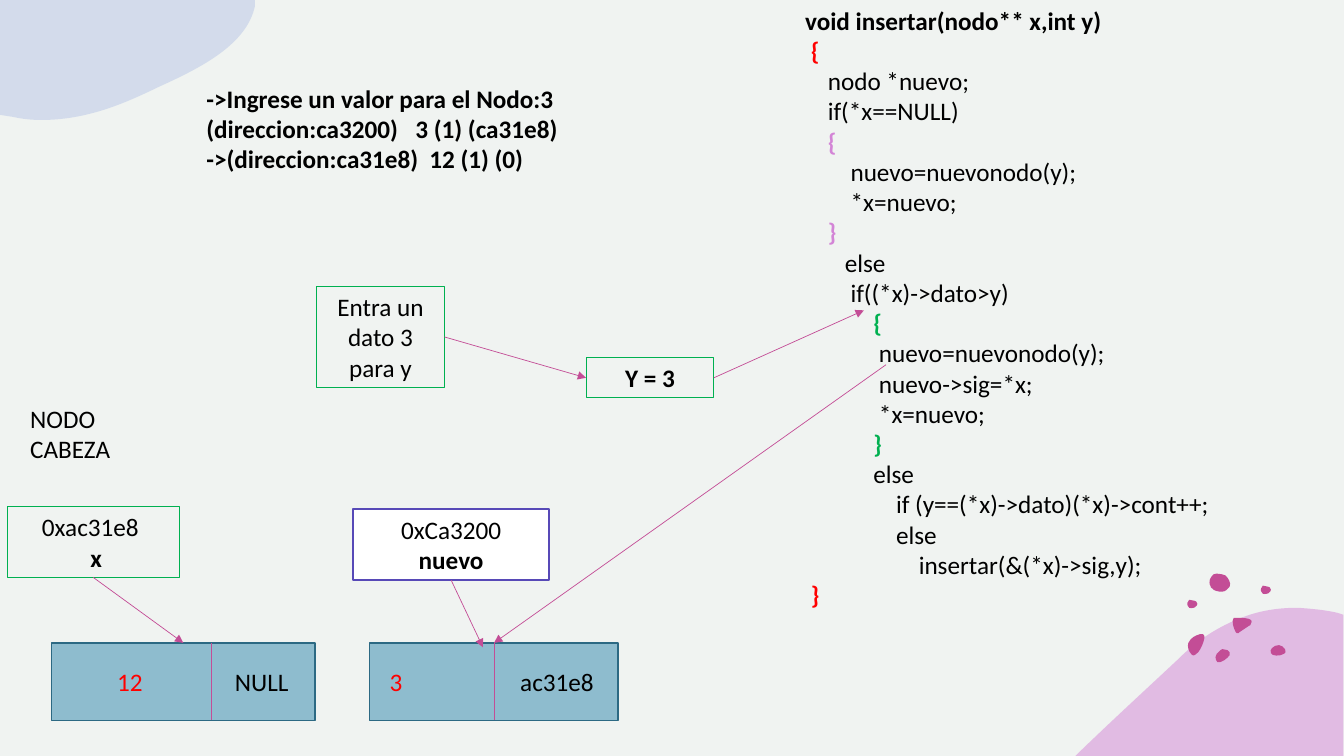
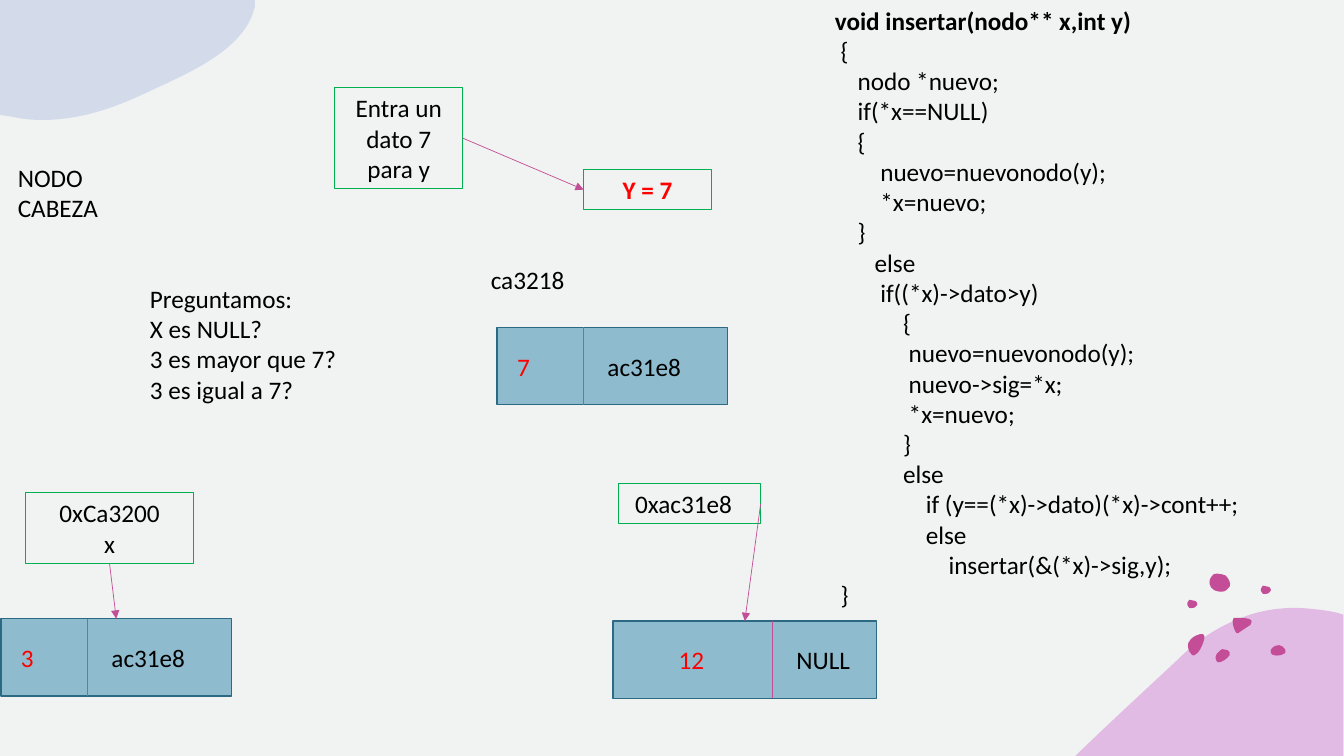
from lxml import etree
from pptx import Presentation
from pptx.dml.color import RGBColor
from pptx.enum.shapes import MSO_CONNECTOR, MSO_SHAPE
from pptx.enum.text import MSO_AUTO_SIZE, PP_ALIGN
from pptx.oxml.ns import qn
from pptx.util import Cm, Pt

RECT = MSO_SHAPE.RECTANGLE
STRAIGHT = MSO_CONNECTOR.STRAIGHT
LEFT, MID = PP_ALIGN.LEFT, PP_ALIGN.CENTER
GROW = MSO_AUTO_SIZE.SHAPE_TO_FIT_TEXT

FONT, SIZE = "Calibri", 18
BLACK, WHITE, RED, GREEN = "000000", "FFFFFF", "FF0000", "00B050"
PINK, LILAC, SKY, PAPER = "C34D96", "D384D6", "B8C5E7", "F0F3F1"
BLUE, NAVY, VIOLET = "3B8EB1", "2C6983", "5749B7"
BOLD = {"bold": True}

UNIT = Cm(2.54) // 100
LINE = 1.02

CODE = """void insertar(nodo** x,int y)
 {
    nodo *nuevo;
    if(*x==NULL)
    {
        nuevo=nuevonodo(y);
        *x=nuevo;
    }
       else
        if((*x)->dato>y)
            {
             nuevo=nuevonodo(y);
             nuevo->sig=*x;
             *x=nuevo;
            }
            else
                if (y==(*x)->dato)(*x)->cont++;
                else
                    insertar(&(*x)->sig,y);
 }""".split("\n")
TINTS = {1: RED, 4: LILAC, 7: LILAC, 10: GREEN, 14: GREEN, 19: RED}

HILL = [(1288, 603), (1301, 604, 1314, 605, 1327, 608), (1333, 610),
        (1333, 750), (1067, 750), (1068, 749),
        (1102, 716, 1137, 684, 1169, 654),
        (1191, 632, 1214, 619, 1237, 611),
        (1254, 605, 1271, 603, 1288, 603)]
CLOUD = [(0, 0), (253, 0), (253, 6), (245, 44, 200, 67, 158, 86),
         (123, 103, 86, 119, 41, 119), (31, 119, 22, 118, 13, 116), (0, 114)]
DOT = [(1251, 586), (1251, 586, 1251, 582, 1253, 581),
       (1255, 581, 1256, 581, 1258, 582), (1259, 582, 1261, 583, 1261, 585),
       (1261, 586, 1260, 588, 1259, 588), (1259, 588, 1259, 589, 1257, 589),
       (1256, 589, 1254, 590, 1253, 589), (1252, 587, 1251, 587, 1251, 586)]
DROPS = [
    [(1213, 644), (1215, 644, 1216, 644, 1218, 645),
     (1220, 646, 1221, 648, 1220, 650), (1218, 653, 1212, 658, 1208, 657),
     (1207, 656, 1206, 654, 1206, 652), (1206, 650, 1208, 647, 1210, 646),
     (1211, 645, 1212, 644, 1213, 644)],
    [(1191, 629), (1193, 629, 1195, 629, 1195, 631),
     (1195, 632, 1195, 632, 1195, 633), (1194, 638, 1192, 643, 1189, 647),
     (1187, 649, 1184, 652, 1182, 649), (1179, 646, 1178, 641, 1179, 638),
     (1180, 635, 1182, 634, 1184, 632), (1185, 632, 1188, 629, 1191, 629)],
    [(1269, 640), (1271, 640, 1274, 642, 1275, 644),
     (1276, 646, 1276, 648, 1273, 649), (1270, 651, 1262, 651, 1261, 648),
     (1260, 646, 1261, 644, 1262, 643), (1264, 641, 1266, 640, 1269, 640)],
    [(1201, 581), (1200, 581, 1199, 575, 1202, 572),
     (1204, 570, 1204, 569, 1207, 569), (1210, 569, 1214, 570, 1216, 571),
     (1218, 573, 1222, 578, 1220, 582), (1217, 585, 1216, 587, 1212, 587),
     (1209, 587, 1204, 586, 1203, 584), (1201, 583, 1201, 582, 1201, 581)],
    [(1228, 613), (1234, 613, 1245, 613, 1241, 619),
     (1241, 620, 1240, 621, 1239, 621), (1236, 623, 1233, 625, 1230, 627),
     (1229, 628, 1228, 629, 1227, 628), (1227, 628, 1226, 627, 1226, 627),
     (1224, 623, 1223, 620, 1223, 616), (1223, 615, 1223, 614, 1224, 613),
     (1224, 613, 1225, 613, 1225, 613), (1226, 613, 1227, 613, 1228, 613)],
]


def rgb(code):
    """Turn a hex string into a colour."""
    return RGBColor.from_string(code)


def paint(shape, fill=None, edge=None, width=0.75, alpha=100):
    """Set fill, transparency and outline, without shadow."""
    shape.shadow.inherit = False
    if fill:
        shape.fill.solid()
        shape.fill.fore_color.rgb = rgb(fill)
        if alpha < 100:
            tone = next(shape.element.iter(qn("a:srgbClr")))
            etree.SubElement(tone, qn("a:alpha"), val=str(alpha * 1000))
    else:
        shape.fill.background()
    if edge:
        shape.line.color.rgb = rgb(edge)
        shape.line.width = Pt(width)
    else:
        shape.line.fill.background()


def write(frame, paras, color=BLACK, bold=False, align=LEFT, tabs=()):
    """Fill a frame; a paragraph is a string or a list of (string, format)."""
    frame.word_wrap = True
    frame.auto_size = GROW
    for num, item in enumerate(paras):
        para = frame.add_paragraph() if num else frame.paragraphs[0]
        para.alignment = align
        if num < len(tabs) and tabs[num]:
            stops = etree.SubElement(para._p.get_or_add_pPr(),
                                     qn("a:tabLst"))
            etree.SubElement(stops, qn("a:tab"), pos=str(Cm(tabs[num])),
                             algn="l")
        for words, look in [(item, {})] if isinstance(item, str) else item:
            for row, piece in enumerate(words.split("\n")):
                if row:
                    para.add_line_break()
                run = para.add_run()
                run.text = piece
                run.font.name, run.font.size = FONT, Pt(SIZE)
                run.font.bold = look.get("bold", bold)
                run.font.color.rgb = rgb(look.get("color", color))


def label(shapes, x, y, w, h, *paras, **look):
    """Add a plain text box."""
    item = shapes.add_textbox(Cm(x), Cm(y), Cm(w), Cm(h))
    write(item.text_frame, paras, **look)


def box(shapes, x, y, w, h, *paras, fill=None, edge=GREEN, width=0.75,
        alpha=100, **look):
    """Add an outlined rectangle with any text centred."""
    item = shapes.add_shape(RECT, Cm(x), Cm(y), Cm(w), Cm(h))
    paint(item, fill, edge, width, alpha)
    if paras:
        write(item.text_frame, paras, align=MID, **look)
    return item


def spot(end):
    """Locate an end: (x, y) in cm or (shape, side)."""
    if isinstance(end[0], (int, float)):
        return Cm(end[0]), Cm(end[1])
    item, side = end
    return (item.left + item.width * (1, 0, 1, 2)[side] // 2,
            item.top + item.height * (0, 1, 2, 1)[side] // 2)


def link(shapes, start, end, tip=True):
    """Draw a straight line, joined to shapes where its ends name them."""
    item = shapes.add_connector(STRAIGHT, *spot(start), *spot(end))
    for place, join in ((start, item.begin_connect), (end, item.end_connect)):
        if not isinstance(place[0], (int, float)):
            join(*place)
    item.line.color.rgb = rgb(PINK)
    item.line.width = Pt(0.5)
    if tip:
        etree.SubElement(item.line._get_or_add_ln(), qn("a:tailEnd"),
                         type="triangle")
    etree.SubElement(item.element.spPr, qn("a:effectLst"))


def node(shapes, x, y, w, split, value, ref, pad=0.25, gap=0.35):
    """Add a list node: a value cell and a reference cell."""
    part = shapes.add_group_shape().shapes
    body = box(part, x, y, w, 1.95, fill=BLUE, edge=NAVY, width=1, alpha=54)
    if split == w / 2:
        link(part, (body, 0), (body, 2), tip=False)
    else:
        link(part, (x + split, y), (x + split, y + 1.95), tip=False)
    label(part, x + pad, y + 0.47, split - pad, LINE, value, color=RED)
    label(part, x + split + gap, y + 0.47, w - split - gap, LINE, ref)
    return body


def head(shapes, x, y):
    """Add the node that ends the list."""
    return node(shapes, x, y, 6.64, 4.02, "12", "NULL", pad=1.4)


def entry(shapes, num, x, y, to_x, to_y, **look):
    """Show the value that comes in and the parameter that takes it."""
    ask = box(shapes, x, y, 3.22, 2.56, f"Entra un dato {num} para y")
    arg = box(shapes, to_x, to_y, 3.22, LINE, f"Y = {num}", bold=True, **look)
    link(shapes, (ask, 3), (arg, 1))
    return arg


def code(shapes, x, w, tints):
    """List the function, with its braces tinted as asked."""
    lines = [[(CODE[0], BOLD)]]
    for num, words in enumerate(CODE[1:], 1):
        if num in tints:
            brace = {"color": tints[num], "bold": True}
            lines.append([(words[:-1], {}), (words[-1], brace)])
        else:
            lines.append(words)
    label(shapes, x, 0, w, 15.65, *lines)


def blob(shapes, path, color, alpha=100, dx=0, dy=0):
    """Draw a closed outline of lines and cubic curves."""
    def place(part):
        """Scale the pairs of one part of the path."""
        return [((x + dx) * UNIT, (y + dy) * UNIT)
                for x, y in zip(part[::2], part[1::2])]

    parts = [place(part) for part in path]
    pen = shapes.build_freeform(*parts[0][0])
    pen.add_line_segments([part[-1] for part in parts[1:]], close=True)
    item = pen.convert_to_shape()
    for part, edge in zip(parts[1:], list(item.element.iter(qn("a:lnTo")))):
        if len(part) == 3:
            edge.tag = qn("a:cubicBezTo")
            for num, (x, y) in enumerate(part[:2]):
                dot = etree.Element(qn("a:pt"), x=str(x - item.left),
                                    y=str(y - item.top))
                edge.insert(num, dot)
    paint(item, color, alpha=alpha)
    return item


def adorn(shapes, layout):
    """Give the layout its background and corner art."""
    layout.background.fill.solid()
    layout.background.fill.fore_color.rgb = rgb(PAPER)
    hill = blob(shapes, HILL, LILAC, alpha=50)
    drops = [blob(shapes, drop, PINK) for drop in DROPS]
    drops += [blob(shapes, DOT, PINK, dx=dx, dy=dy)
              for dx, dy in ((0, 0), (-73, 14))]
    cloud = blob(shapes, CLOUD, SKY, alpha=50)
    for item in (hill, shapes.add_group_shape(drops), cloud):
        layout.shapes.element.append(item.element)


def lower(shapes):
    """Show how 3 goes in before the head."""
    code(shapes, 20.04, 13.64, TINTS)
    label(shapes, 0.51, 10.03, 3.53, 1.79, "NODO CABEZA")
    arg = entry(shapes, 3, 7.98, 7.21, 14.77, 9.01)
    fresh = node(shapes, 9.32, 16.2, 6.26, 3.13, "3", "ac31e8", gap=0.41)
    first = head(shapes, 1.3, 16.2)
    root = box(shapes, 0.18, 12.76, 4.34, 1.79,
               [("0xac31e8 \n ", {}), ("x", BOLD)])
    new = box(shapes, 8.9, 12.83, 4.94, 1.79, "0xCa3200", [("nuevo", BOLD)],
              fill=WHITE, edge=VIOLET, width=1)
    link(shapes, (root, 2), (first, 0))
    link(shapes, (arg, 3), (21.77, 7.82))
    link(shapes, (22.33, 9.19), (fresh, 0))
    link(shapes, (new, 2), (12.17, 16.31))
    label(shapes, 4.95, 1.97, 11.61, 2.56,
          "->Ingrese un valor para el Nodo:3",
          "(direccion:ca3200)\t3 (1) (ca31e8)",
          "->(direccion:ca31e8)\t12 (1) (0)",
          bold=True, tabs=(0, 5.27, 5.62))


def higher(shapes):
    """Show the questions asked when 7 comes in."""
    code(shapes, 20.79, 12.88, {})
    label(shapes, 0.2, 3.97, 3.53, 1.79, "NODO CABEZA")
    entry(shapes, 7, 8.44, 2.2, 14.71, 4.27, color=RED)
    first = node(shapes, 0.03, 15.59, 5.8, 2.18, "3", "ac31e8")
    last = head(shapes, 15.45, 15.65)
    node(shapes, 12.53, 8.25, 5.8, 2.18, "7", "ac31e8")
    ref = box(shapes, 15.58, 12.18, 3.59, LINE, "0xac31e8")
    ref.text_frame.margin_right = Cm(0.55)
    root = box(shapes, 0.64, 12.41, 4.24, 1.79, "0xCa3200", "x")
    link(shapes, (ref, 3), (last, 0))
    link(shapes, (root, 2), (first, 0))
    label(shapes, 3.53, 7.01, 6.25, 4.11, "Preguntamos:",
          "X es NULL?\n3 es mayor que 7?\n3 es igual a 7?")
    label(shapes, 12.12, 6.53, 3.53, LINE, "ca3218")


def main():
    """Build and save the deck."""
    deck = Presentation()
    deck.slide_width, deck.slide_height = Cm(33.87), Cm(19.05)
    layout = deck.slide_layouts[6]
    slides = [deck.slides.add_slide(layout) for _ in range(2)]
    adorn(slides[0].shapes, layout)
    for slide, fill in zip(slides, (lower, higher)):
        fill(slide.shapes)
    deck.save("out.pptx")


if __name__ == "__main__":
    main()
